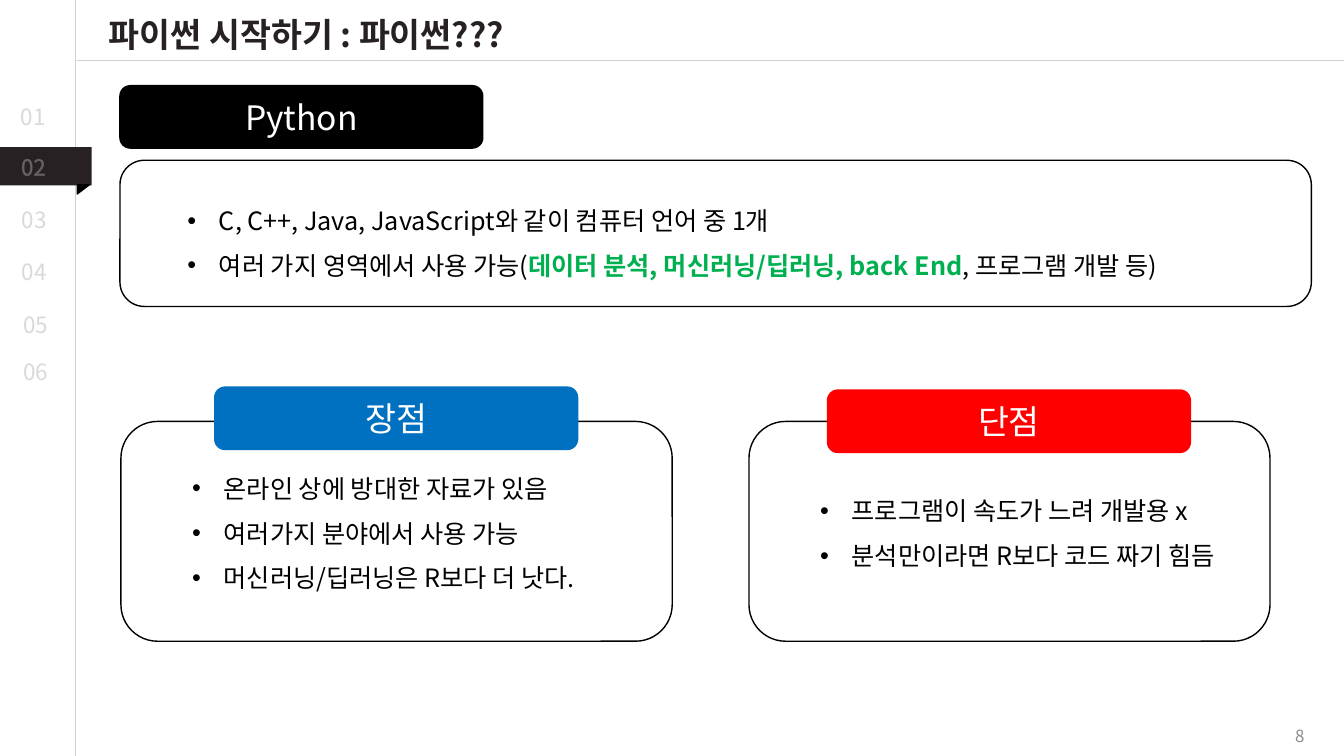
from dataclasses import dataclass
from typing import Any

import lxml.etree
import pptx
import pptx.dml.color
import pptx.enum.dml
import pptx.enum.shapes
import pptx.enum.text
import pptx.oxml
import pptx.oxml.ns
import pptx.util

Pt = pptx.util.Pt
qualified = pptx.oxml.ns.qn
Shapes = pptx.enum.shapes.MSO_SHAPE
Align = pptx.enum.text.PP_ALIGN

FONT = "Noto Sans CJK KR"
COLORS = {
    "white": "FFFFFF", "black": "000000", "ink": "272123", "rule": "A6A6A6",
    "faded": "D9D9D9", "number": "8C8C8C", "highlight": "00B050",
    "blue": "0070C0", "red": "FF0000",
}
SIDE_INSET = 7.2
BADGE_SIZE = (259.2, 44.6)


@dataclass(frozen=True)
class Box:
    left: float
    top: float
    width: float
    height: float


@dataclass(frozen=True)
class Segment:
    text: str
    highlighted: bool = False


@dataclass(frozen=True)
class Panel:
    box: Box
    placeholder: int
    list_shift: float
    lines: tuple[tuple[Segment, ...], ...]


@dataclass(frozen=True)
class Badge:
    text: str
    left: float
    top: float
    color: str


@dataclass(frozen=True)
class SectionNumber:
    text: str
    left: float
    top: float
    color: str = "faded"
    outline: str = "black"


PANELS = (
    Panel(Box(85.7, 114.5, 851, 104.4), 1, 1.5, (
        (Segment("C, C++, Java, JavaScript와 같이 컴퓨터 언어 중 1개"),),
        (Segment("여러 가지 영역에서 사용 가능("),
         Segment("데이터 분석, 머신러닝/딥러닝, back End", True),
         Segment(", 프로그램 개발 등)")),
    )),
    Panel(Box(86.4, 301, 393.8, 157), 2, -4, (
        (Segment("온라인 상에 방대한 자료가 있음"),),
        (Segment("여러가지 분야에서 사용 가능"),),
        (Segment("머신러닝/딥러닝은 R보다 더 낫다."),),
    )),
    Panel(Box(535, 301, 372.2, 157), 4, -4, (
        (Segment("프로그램이 속도가 느려 개발용 x"),),
        (Segment("분석만이라면 R보다 코드 짜기 힘듬"),),
    )),
)
BADGES = (
    Badge("Python", 85.7, 61.2, "black"),
    Badge("장점", 153.4, 276.5, "blue"),
    Badge("단점", 591.1, 278.6, "red"),
)
SECTION_NUMBERS = (
    SectionNumber("01", 7.9, 69.8),
    SectionNumber("02", 7.9, 105.8, "white", "faded"),
    SectionNumber("03", 8.6, 143.3),
    SectionNumber("04", 8.6, 180.7),
    SectionNumber("05", 9.4, 218.9),
    SectionNumber("06", 9.4, 252),
)


def rgb(color: str) -> pptx.dml.color.RGBColor:
    return pptx.dml.color.RGBColor.from_string(COLORS[color])


def points(box: Box) -> tuple[int, ...]:
    return Pt(box.left), Pt(box.top), Pt(box.width), Pt(box.height)


def place(shape: Any, box: Box) -> None:
    shape.left, shape.top, shape.width, shape.height = points(box)


def format_run(run: Any, size: float, color: str, bold: bool = False) -> None:
    run.font.size = Pt(size)
    run.font.bold = bold
    run.font.color.rgb = rgb(color)
    run.font.name = FONT
    east_asian = lxml.etree.SubElement(run._r.get_or_add_rPr(), qualified("a:ea"))
    east_asian.set("typeface", FONT)


def outline_run(run: Any, color: str) -> None:
    """Give the letters a thin, mostly transparent outline."""
    line = pptx.oxml.parse_xml(
        f'<a:ln {pptx.oxml.ns.nsdecls("a")} w="9525"><a:solidFill>'
        f'<a:srgbClr val="{COLORS[color]}"><a:alpha val="30000"/></a:srgbClr>'
        "</a:solidFill></a:ln>")
    run._r.get_or_add_rPr().insert(0, line)


def prepare_frame(shape: Any, side_inset: float = SIDE_INSET) -> Any:
    frame = shape.text_frame
    frame.word_wrap = True
    frame.auto_size = pptx.enum.text.MSO_AUTO_SIZE.NONE
    frame.vertical_anchor = pptx.enum.text.MSO_ANCHOR.MIDDLE
    frame.margin_left = frame.margin_right = Pt(side_inset)
    frame.margin_top = frame.margin_bottom = 0
    return frame


def write_line(shape: Any, text: str, size: float, color: str,
               alignment: Any = Align.LEFT, bold: bool = False) -> Any:
    frame = prepare_frame(shape)
    frame.text = text
    paragraph = frame.paragraphs[0]
    paragraph.alignment = alignment
    run = paragraph.runs[0]
    format_run(run, size, color, bold)
    return run


def add_filled_shape(slide: Any, kind: Any, box: Box, fill: str,
                     line: str | None = None) -> Any:
    shape = slide.shapes.add_shape(kind, *points(box))
    shape.shadow.inherit = False
    shape.fill.solid()
    shape.fill.fore_color.rgb = rgb(fill)
    if line is None:
        shape.line.fill.background()
    else:
        shape.line.color.rgb = rgb(line)
        shape.line.width = Pt(1)
    return shape


def add_rule(slide: Any, start: tuple[float, float], end: tuple[float, float]) -> None:
    connector = slide.shapes.add_connector(
        pptx.enum.shapes.MSO_CONNECTOR.STRAIGHT, *map(Pt, start + end))
    connector.line.color.rgb = rgb("rule")
    connector.line.width = Pt(0.5)
    properties = connector.element.spPr
    color = properties.find(".//" + qualified("a:srgbClr"))
    lxml.etree.SubElement(color, qualified("a:alpha")).set("val", "50000")
    lxml.etree.SubElement(properties, qualified("a:effectLst"))


def add_bullet(paragraph: Any) -> None:
    properties = paragraph._p.get_or_add_pPr()
    properties.set("marL", str(Pt(58.3)))
    properties.set("indent", str(-Pt(22.5)))
    lxml.etree.SubElement(properties, qualified("a:buFont")).set("typeface", "Arial")
    lxml.etree.SubElement(properties, qualified("a:buChar")).set("char", "•")


def draw_panel(slide: Any, panel: Panel) -> None:
    """Draw the rounded frame and raise its list placeholder above it."""
    box = panel.box
    add_filled_shape(slide, Shapes.ROUNDED_RECTANGLE, box, "white", "black")
    placeholder = slide.placeholders[panel.placeholder]
    place(placeholder, Box(box.left, box.top + panel.list_shift, box.width, box.height))
    slide.shapes.element.append(placeholder.element)
    frame = prepare_frame(placeholder, SIDE_INSET + 0.05 * box.height)
    for index, segments in enumerate(panel.lines):
        paragraph = frame.add_paragraph() if index else frame.paragraphs[0]
        paragraph.alignment = Align.LEFT
        paragraph.line_spacing = Pt(32)
        paragraph.space_before = paragraph.space_after = Pt(0)
        add_bullet(paragraph)
        for segment in segments:
            run = paragraph.add_run()
            run.text = segment.text
            color = "highlight" if segment.highlighted else "black"
            format_run(run, 18, color, segment.highlighted)


def draw_badge(slide: Any, badge: Badge) -> None:
    box = Box(badge.left, badge.top, *BADGE_SIZE)
    shape = add_filled_shape(slide, Shapes.ROUNDED_RECTANGLE, box, badge.color, badge.color)
    write_line(shape, badge.text, 24, "white", Align.CENTER)


def draw_section_number(slide: Any, number: SectionNumber) -> None:
    textbox = slide.shapes.add_textbox(*points(Box(number.left, number.top, 38, 26.6)))
    outline_run(write_line(textbox, number.text, 16, number.color), number.outline)


def main() -> None:
    presentation = pptx.Presentation()
    presentation.slide_width, presentation.slide_height = Pt(960), Pt(540)
    slide = presentation.slides.add_slide(presentation.slide_layouts.get_by_name("Comparison"))
    unused = slide.placeholders[3].element
    unused.getparent().remove(unused)

    add_rule(slide, (54, 0), (54, 540))
    add_rule(slide, (960, 43.2), (54.7, 43.2))
    add_filled_shape(slide, Shapes.RECTANGLE, Box(0, 105.1, 65.5, 27.4), "ink")
    fold = add_filled_shape(slide, Shapes.RIGHT_TRIANGLE, Box(56.2, 131, 6.5, 8.6),
                            "black", "black")
    fold.rotation = 90
    for number in SECTION_NUMBERS:
        draw_section_number(slide, number)

    title = slide.shapes.title
    place(title, Box(70.6, 6.5, 382.3, 36))
    outline_run(write_line(title, "파이썬 시작하기 : 파이썬???", 24, "ink", bold=True), "black")
    for panel in PANELS:
        draw_panel(slide, panel)
    for badge in BADGES:
        draw_badge(slide, badge)
    page_number = slide.shapes.add_textbox(*points(Box(722.9, 511.2, 216, 28.8)))
    write_line(page_number, "8", 12, "number", Align.RIGHT)
    presentation.save("out.pptx")


if __name__ == "__main__":
    main()
